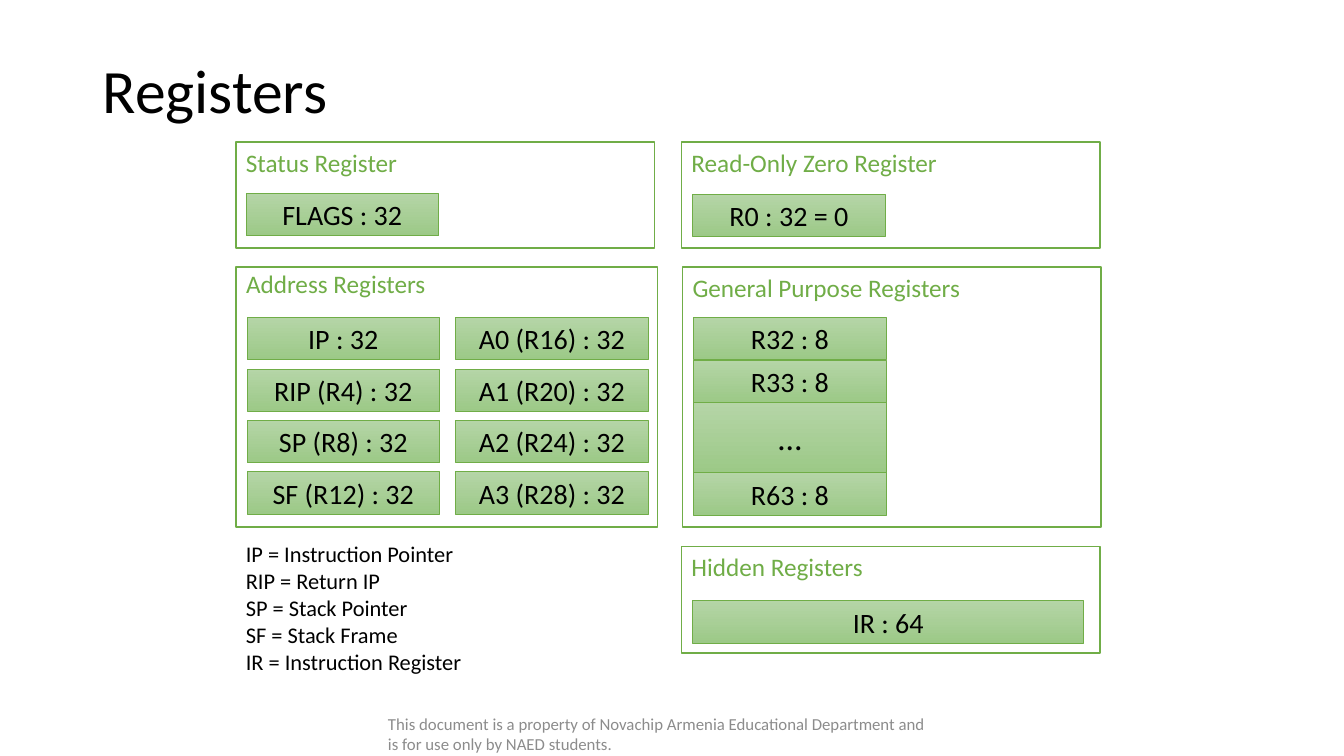
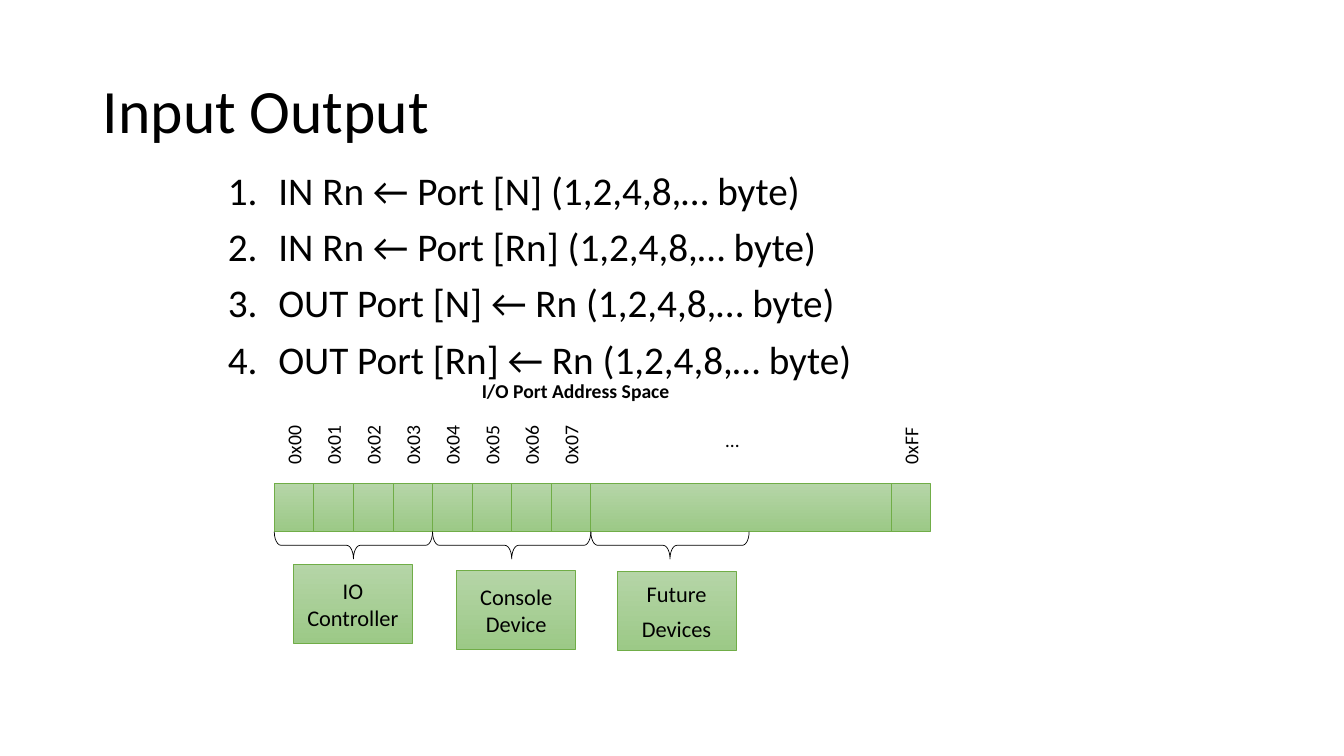
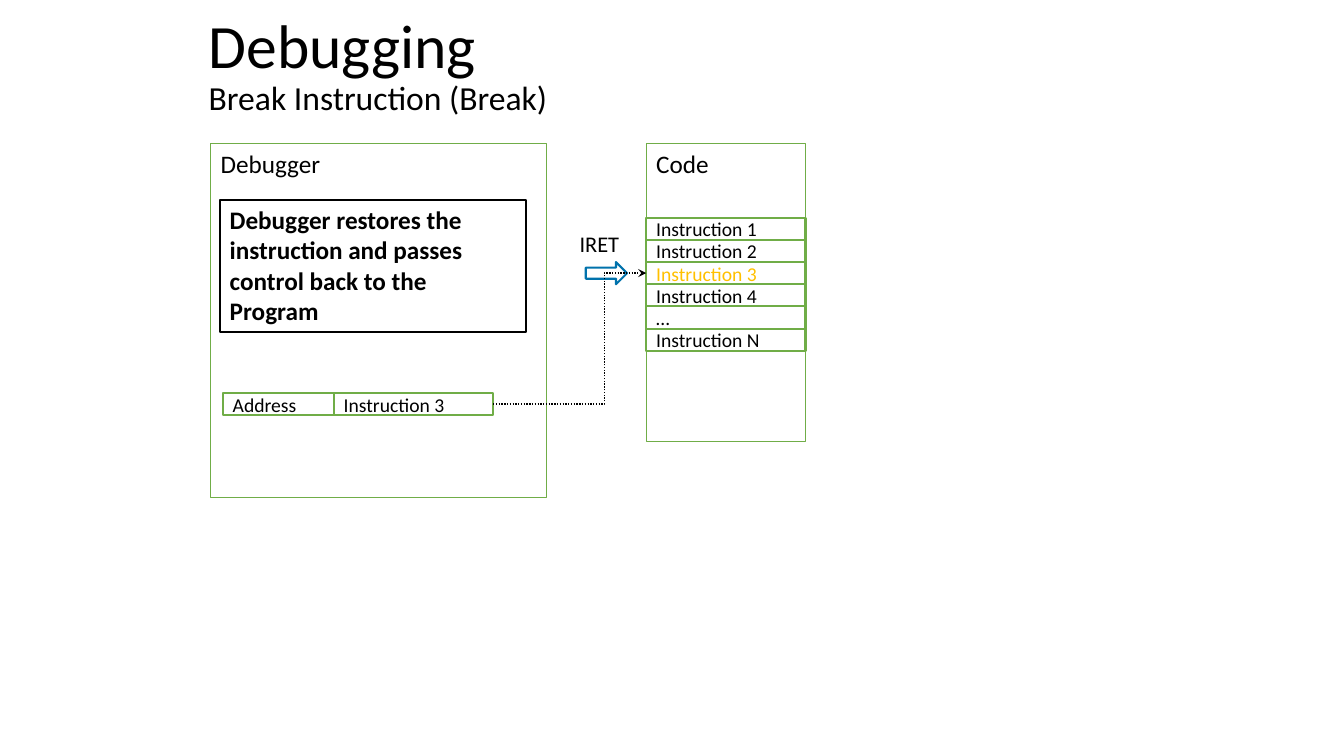
from lxml.etree import SubElement
from pptx import Presentation
from pptx.dml.color import RGBColor
from pptx.enum.dml import MSO_LINE
from pptx.enum.shapes import MSO_CONNECTOR, MSO_SHAPE as Preset
from pptx.enum.text import MSO_ANCHOR as Anchor, MSO_AUTO_SIZE, PP_ALIGN as Align
from pptx.oxml.ns import qn
from pptx.util import Inches, Pt

FONT = "Calibri"
BLACK, WHITE, GREEN, GRAY = "000000", "FFFFFF", "70AD47", "8C8C8C"
AMBER, BLUE = "FFC000", "0072AC"
GRADIENT = ("B5D5A7", "9CC987")
TITLE_BOX = (0.92, 0.4, 11.5, 1.45)
TITLE_ONLY, TITLE_AND_BODY = 5, 1

# Registers: panel heading, panel box
REGISTER_PANELS = [
    ("Status Register", (2.34, 1.41, 4.15, 1.05)),
    ("Read-Only Zero Register", (6.76, 1.41, 4.15, 1.05)),
    ("General Purpose Registers", (6.77, 2.65, 4.15, 2.58)),
    ("Hidden Registers", (6.76, 5.42, 4.15, 1.06)),
]
ADDRESS_PANEL = ("Address Registers", (2.34, 2.65, 4.18, 2.58))
SINGLE_REGISTERS = [
    ("FLAGS : 32", 2.44, 1.92, 1.91),
    ("R0 : 32 = 0", 6.87, 1.93, 1.91),
    ("IR : 64", 6.87, 5.96, 3.88),
]
ADDRESS_COLUMNS = [
    (2.45, ["IP : 32", "RIP (R4) : 32", "SP (R8) : 32", "SF (R12) : 32"]),
    (4.52, ["A0 (R16) : 32", "A1 (R20) : 32", "A2 (R24) : 32", "A3 (R28) : 32"]),
]
GENERAL_REGISTERS = [("R32 : 8", 0.42, 20), ("R33 : 8", 0.42, 20),
                     ("…", 0.7, 24), ("R63 : 8", 0.42, 20)]
REGISTER_TOP, REGISTER_W, REGISTER_H, REGISTER_PITCH = 3.15, 1.91, 0.42, 0.51
ABBREVIATIONS = ["IP = Instruction Pointer", "RIP = Return IP", "SP = Stack Pointer",
                 "SF = Stack Frame", "IR = Instruction Register"]
FOOTER = ("This document is a property of Novachip Armenia Educational Department "
          "and is for use only by NAED students.")

# Input Output
IO_INSTRUCTIONS = [
    "IN Rn ← Port [N] (1,2,4,8,… byte)",
    "IN Rn ← Port [Rn] (1,2,4,8,… byte)",
    "OUT Port [N] ← Rn (1,2,4,8,… byte)",
    "OUT Port [Rn] ← Rn (1,2,4,8,… byte)",
]
PORTS = [f"0x0{number}" for number in range(8)]
PORT_LEFT, PORT_TOP, PORT_W, PORT_H = 2.72, 4.8, 0.3925, 0.47
GAP_W = 2.98
PORTS_PER_DEVICE = 4
DEVICES = [(["IO Controller"], 2.91, 5.6), (["Console Device"], 4.53, 5.66),
           (["Future", "Devices"], 6.12, 5.67)]

# Debugging
CODE = ["Instruction 1", "Instruction 2", "Instruction 3", "Instruction 4",
        "…", "Instruction N"]
BROKEN = "Instruction 3"
CODE_LEFT, CODE_TOP, CODE_W, CODE_H = 6.41, 2.16, 1.58, 0.22
RESTORE_NOTE = ("Debugger restores the instruction and passes control "
                "back to the Program")


def rgb(code):
    return RGBColor.from_string(code)


def inches(box):
    return [Inches(length) for length in box]


def place(shape, box):
    shape.left, shape.top, shape.width, shape.height = inches(box)


def format_runs(paragraph, size, color=BLACK, bold=False):
    for run in paragraph.runs:
        run.font.name, run.font.size, run.font.bold = FONT, Pt(size), bold
        run.font.color.rgb = rgb(color)


def write(frame, lines, size, color=BLACK, bold=False, align=Align.LEFT,
          anchor=Anchor.TOP, before=0, spacing=None, wrap=True):
    frame.word_wrap, frame.vertical_anchor = wrap, anchor
    frame.text = "\n".join(lines)
    for paragraph in frame.paragraphs:
        paragraph.alignment = align
        paragraph.space_before = Pt(before)
        paragraph.line_spacing = spacing
        format_runs(paragraph, size, color, bold)


def outline(shape, color, width):
    shape.line.color.rgb = rgb(color)
    shape.line.width = Pt(width)


def add_outlined(slide, box, color=GREEN, width=0.5, preset=Preset.RECTANGLE):
    shape = slide.shapes.add_shape(preset, *inches(box))
    shape.shadow.inherit = False
    shape.fill.background()
    outline(shape, color, width)
    return shape


def add_block(slide, box, lines=(), size=20):
    """Green gradient block with centred text."""
    block = add_outlined(slide, box)
    block.fill.gradient()
    block.fill.gradient_angle = 270
    for stop, color in zip(block.fill.gradient_stops, GRADIENT):
        stop.color.rgb = rgb(color)
    if lines:
        write(block.text_frame, lines, size, align=Align.CENTER,
              anchor=Anchor.MIDDLE, before=6)


def add_label(slide, box, lines, size, wrap=False, **style):
    label = slide.shapes.add_textbox(*inches(box))
    write(label.text_frame, lines, size, wrap=wrap, **style)
    return label


def set_list(paragraph, indent=0, numbering=None):
    """Replace the inherited bullet by a number, or by nothing."""
    props = paragraph._p.get_or_add_pPr()
    props.set("marL", str(Inches(indent)))
    props.set("indent", str(-Inches(indent)))
    if numbering:
        SubElement(props, qn("a:buFont"), typeface="+mj-lt")
        SubElement(props, qn("a:buAutoNum"), type=numbering)
    else:
        SubElement(props, qn("a:buNone"))


def add_slide(deck, layout, title, box=TITLE_BOX):
    slide = deck.slides.add_slide(deck.slide_layouts[layout])
    heading = slide.shapes.title
    place(heading, box)
    write(heading.text_frame, [title], 44, anchor=Anchor.MIDDLE, spacing=0.9)
    heading.text_frame.auto_size = MSO_AUTO_SIZE.NONE
    return slide


def fill_body(slide, box, lines, size, color=BLACK, before=0, **bullets):
    body = slide.placeholders[1]
    place(body, box)
    write(body.text_frame, lines, size, color, before=before, spacing=0.9)
    body.text_frame.auto_size = MSO_AUTO_SIZE.NONE
    for paragraph in body.text_frame.paragraphs:
        set_list(paragraph, **bullets)
    return body


def build_registers(deck):
    slide = add_slide(deck, TITLE_AND_BODY, "Registers")
    slide.shapes.title.text_frame.margin_bottom = Inches(0.45)

    heading, box = ADDRESS_PANEL
    address = fill_body(slide, box, [heading], 18, GREEN, before=6)
    address.fill.solid()
    address.fill.fore_color.rgb = rgb(WHITE)
    outline(address, GREEN, 1)

    for heading, box in REGISTER_PANELS:
        panel = add_outlined(slide, box, width=1)
        panel.fill.solid()
        panel.fill.fore_color.rgb = rgb(WHITE)
        write(panel.text_frame, [heading], 18, GREEN, before=6)

    for name, left, top, width in SINGLE_REGISTERS:
        add_block(slide, (left, top, width, REGISTER_H), [name])
    for left, names in ADDRESS_COLUMNS:
        for row, name in enumerate(names):
            top = REGISTER_TOP + row * REGISTER_PITCH
            add_block(slide, (left, top, REGISTER_W, REGISTER_H), [name])
    top = REGISTER_TOP
    for name, height, size in GENERAL_REGISTERS:
        add_block(slide, (6.88, top, REGISTER_W, height), [name], size)
        top += height

    add_label(slide, (2.34, 5.31, 2.37, 1.45), ABBREVIATIONS, 16)
    add_label(slide, (3.75, 7.08, 5.54, 0.4), [FOOTER], 12, wrap=True,
              color=GRAY, anchor=Anchor.MIDDLE)


def build_input_output(deck):
    slide = add_slide(deck, TITLE_AND_BODY, "Input Output")
    fill_body(slide, (2.16, 1.65, 7.56, 5.22), IO_INSTRUCTIONS, 28, before=10,
              indent=0.5, numbering="arabicPeriod")
    add_label(slide, (4.68, 3.71, 2.08, 0.34), ["I/O Port Address Space"], 14, bold=True)

    gap_left = PORT_LEFT + len(PORTS) * PORT_W
    ports = [(name, PORT_LEFT + i * PORT_W) for i, name in enumerate(PORTS)]
    ports.append(("0xFF", gap_left + GAP_W))
    label_w, label_h = 0.63, 0.34
    for name, left in ports:
        add_block(slide, (left, PORT_TOP, PORT_W, PORT_H))
        label_left = left + (PORT_W - label_w) / 2
        label = add_label(slide, (label_left, 4.22, label_w, label_h), [name], 14)
        label.rotation = 270
    add_block(slide, (gap_left, PORT_TOP, GAP_W, PORT_H))
    add_label(slide, (7.1, 4.2, 0.34, label_h), ["…"], 14)

    brace_w, brace_h = 0.27, PORTS_PER_DEVICE * PORT_W
    for i, (lines, left, top) in enumerate(DEVICES):
        center = PORT_LEFT + (i + 0.5) * brace_h
        brace_box = (center - brace_w / 2, 5.41 - brace_h / 2, brace_w, brace_h)
        brace = add_outlined(slide, brace_box, BLACK, preset=Preset.RIGHT_BRACE)
        brace.adjustments[0] = 0.25
        brace.rotation = 90
        add_block(slide, (left, top, 1.18, 0.78), lines, 16)


def add_field(slide, box, text, color=BLACK):
    field = add_outlined(slide, box, width=1.5)
    write(field.text_frame, [text], 14, color, anchor=Anchor.MIDDLE, before=6)
    return field


def add_return_path(slide, start, end):
    """Dotted elbow arrow from the right of start to the left of end."""
    path = slide.shapes.add_connector(MSO_CONNECTOR.ELBOW, 0, 0, 0, 0)
    path.begin_connect(start, 3)
    path.end_connect(end, 1)
    outline(path, BLACK, 1)
    path.line.dash_style = MSO_LINE.ROUND_DOT
    props = path.element.spPr
    SubElement(props.find(qn("a:ln")), qn("a:tailEnd"), type="stealth")
    SubElement(props, qn("a:effectLst"))
    bends = props.find(qn("a:prstGeom")).find(qn("a:avLst"))
    SubElement(bends, qn("a:gd"), name="adj1", fmla="val 72600")


def build_debugging(deck):
    slide = add_slide(deck, TITLE_ONLY, "Debugging", (1.97, 0.06, 9.5, 1.2))
    heading = slide.shapes.title.text_frame.paragraphs[0]
    heading.add_line_break()
    subtitle = heading.add_run()
    subtitle.text = "Break Instruction (Break)"
    format_runs(heading, 44)
    subtitle.font.size = Pt(24)

    for name, box in [("Debugger", (2.09, 1.42, 3.33, 3.51)),
                      ("Code", (CODE_LEFT, 1.42, CODE_W, 2.96))]:
        panel = add_outlined(slide, box)
        write(panel.text_frame, [name], 18, before=6)

    add_field(slide, (2.21, 3.9, 1.1, CODE_H), "Address")
    saved = add_field(slide, (3.31, 3.9, CODE_W, CODE_H), BROKEN)
    add_outlined(slide, (5.81, 2.6, 0.41, 0.22), BLUE, 1.5, Preset.RIGHT_ARROW)
    code = {}
    for row, text in enumerate(CODE):
        box = (CODE_LEFT, CODE_TOP + row * CODE_H, CODE_W, CODE_H)
        code[text] = add_field(slide, box, text, AMBER if text == BROKEN else BLACK)
    add_return_path(slide, saved, code[BROKEN])

    note = add_outlined(slide, (2.18, 1.98, 3.04, 1.31), BLACK, 1.5)
    write(note.text_frame, [RESTORE_NOTE], 18, bold=True)
    add_label(slide, (5.65, 2.23, 0.6, 0.37), ["IRET"], 16)


def main():
    deck = Presentation()
    deck.slide_width, deck.slide_height = inches((13.33, 7.5))
    build_registers(deck)
    build_input_output(deck)
    build_debugging(deck)
    deck.save("out.pptx")


if __name__ == "__main__":
    main()
